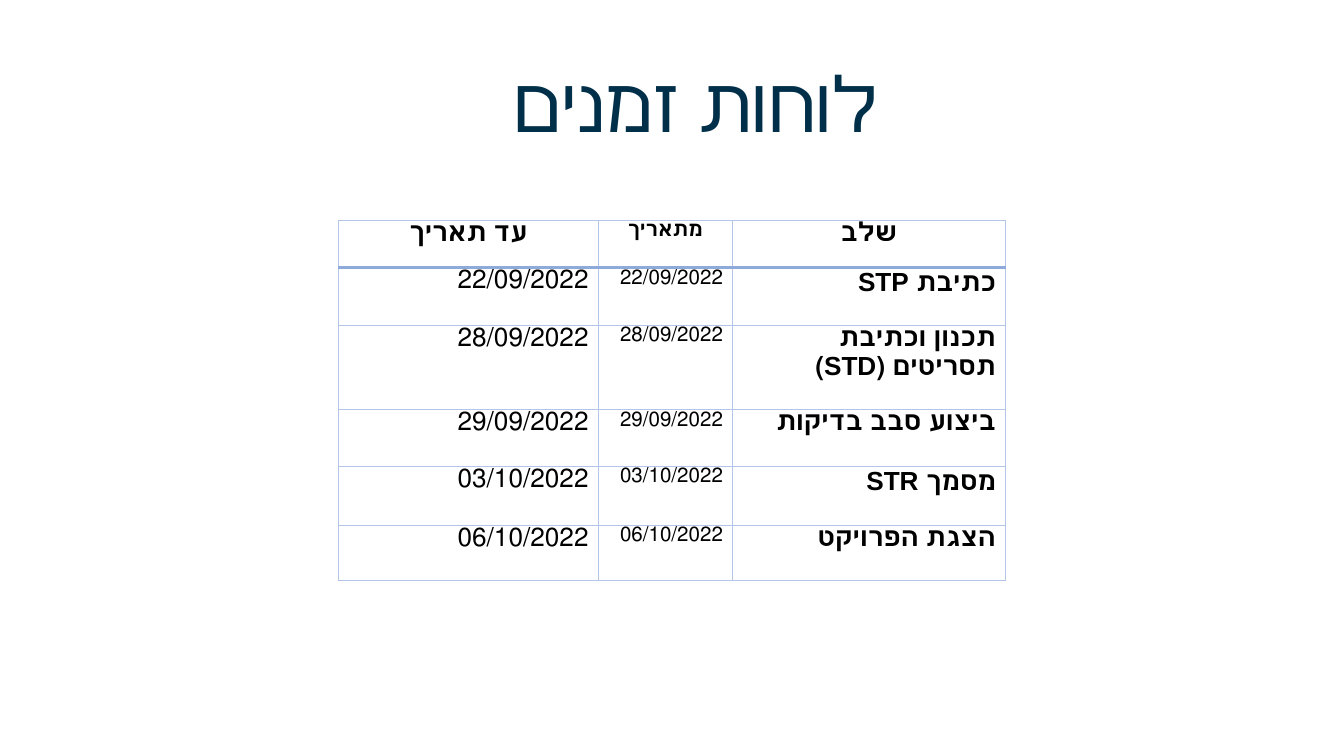
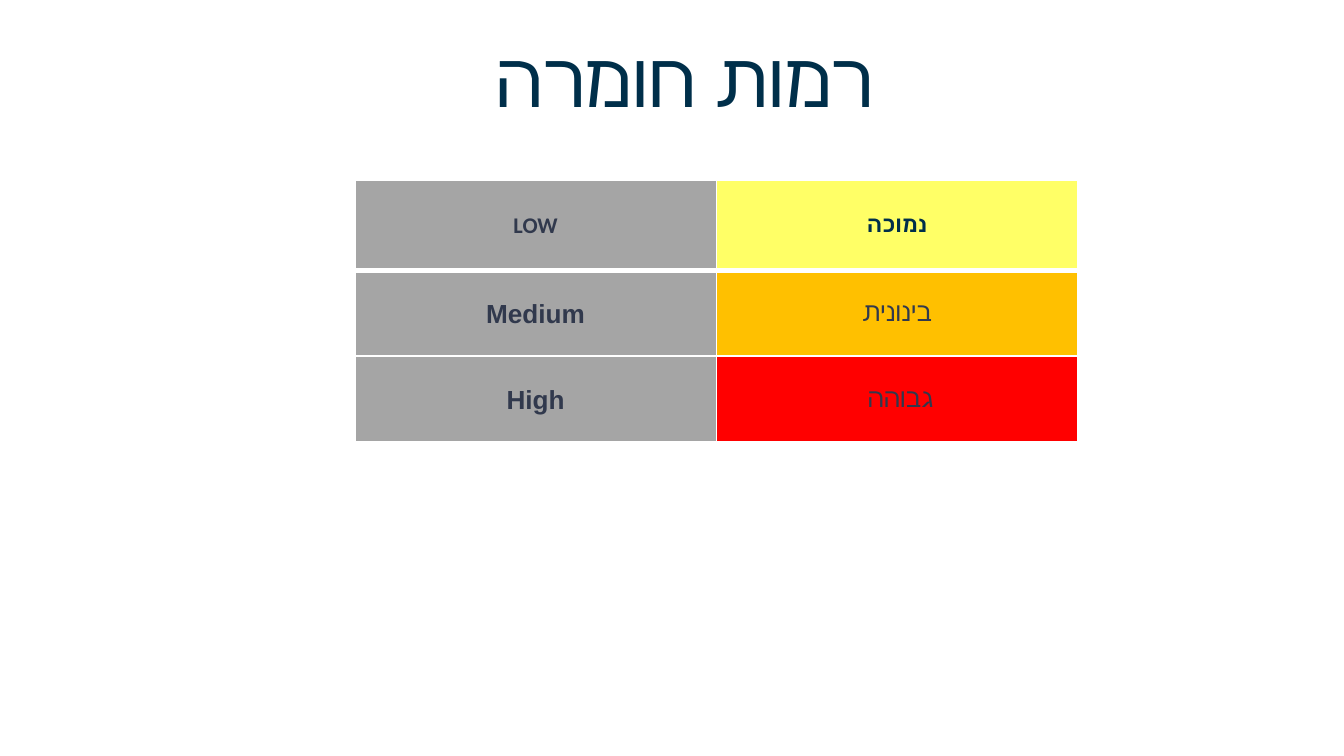
"""Builds two Hebrew slides: a project timetable and a table of severity levels."""
from dataclasses import dataclass

from lxml.etree import SubElement
from pptx import Presentation
from pptx.dml.color import RGBColor
from pptx.enum.text import MSO_ANCHOR as Anchor, MSO_AUTO_SIZE as AutoSize, PP_ALIGN as Align
from pptx.oxml.ns import qn
from pptx.util import Inches, Pt


@dataclass(frozen=True)
class Theme:
    navy: str = "002F4A"
    slate: str = "31394D"
    black: str = "000000"
    white: str = "FFFFFF"
    gray: str = "A5A5A5"
    yellow: str = "FFFF66"
    orange: str = "FFC000"
    red: str = "FF0000"
    grid: str = "B4C6E7"
    rule: str = "8EAADB"
    title_font: str = "Lato"
    body_font: str = "Arial"
    label_font: str = "Calibri"
    title_size: float = 41
    body_size: float = 14
    label_size: float = 12
    date_size: float = 11


THEME = Theme()
PAGE_WIDTH = Inches(10)
PAGE_HEIGHT = PAGE_WIDTH * 9 // 16

STAGES = [
    ("כתיבת STP ", "22/09/2022"),
    ("תכנון וכתיבת תסריטים (STD)", "28/09/2022"),
    ("ביצוע סבב בדיקות", "29/09/2022"),
    ("מסמך STR", "03/10/2022"),
    ("הצגת הפרויקט", "06/10/2022"),
]
STAGE_HEADINGS = ("עד תאריך", "מתאריך", "שלב")
STAGE_SIZES = (THEME.body_size, THEME.date_size, THEME.body_size)

SEVERITIES = [
    {"english": "LOW", "hebrew": "נמוכה", "fill": THEME.yellow},
    {"english": "Medium", "hebrew": "בינונית", "fill": THEME.orange},
    {"english": "High", "hebrew": "גבוהה ", "fill": THEME.red},
]

TIMETABLE = {
    "place": (2.52, 1.64),
    "columns": (1.93, 1, 2.03),
    "rows": (0.35, 0.43, 0.63, 0.42, 0.44, 0.41),
    "inset": 0.07,
    "anchor": Anchor.TOP,
    "spacing": 1.0,
    "line": (THEME.grid, 0.5),
    "header_line": (THEME.rule, 1.5),
}
SEVERITY_TABLE = {
    "place": (2.64, 1.34),
    "columns": (2.69, 2.69),
    "rows": (0.67, 0.64, 0.64),
    "inset": 0.06,
    "anchor": Anchor.MIDDLE,
    "spacing": 1.07,
    "line": (THEME.white, 1),
    "header_line": (THEME.white, 3),
}


def timetable_cells():
    """Return the heading row and one row of dates per stage."""
    heading = [
        {"text": text, "size": size, "bold": True, "align": Align.CENTER}
        for text, size in zip(STAGE_HEADINGS, STAGE_SIZES)
    ]
    rows = [
        [
            {"text": text, "size": size, "bold": text == stage, "align": Align.RIGHT}
            for text, size in zip((date, date, stage), STAGE_SIZES)
        ]
        for stage, date in STAGES
    ]
    return [heading] + rows


def severity_cells():
    """Return one row per severity, with the first row as the heading."""
    rows = []
    for index, level in enumerate(SEVERITIES):
        first = index == 0
        shared = {
            "size": THEME.label_size if first else THEME.body_size,
            "font": THEME.label_font if first else THEME.body_font,
            "align": Align.CENTER,
        }
        english = {"text": level["english"], "bold": True, "color": THEME.slate,
                   "fill": THEME.gray, "rtl": level["english"] == "High"}
        hebrew = {"text": level["hebrew"], "bold": first, "fill": level["fill"],
                  "color": THEME.navy if first else THEME.slate}
        rows.append([shared | english, shared | hebrew])
    return rows


def apply(target, values):
    """Set each named attribute on the target."""
    for name, value in values.items():
        setattr(target, name, value)


def write(frame, text, size, font, color, bold, align, spacing, rtl):
    """Write one formatted paragraph in a text frame."""
    para = frame.paragraphs[0]
    apply(para, {"alignment": align, "line_spacing": spacing})
    if rtl:
        para._p.get_or_add_pPr().set("rtl", "1")
    span = para.add_run()
    span.text = text
    apply(span.font, {"size": Pt(size), "name": font, "bold": bold})
    span.font.color.rgb = RGBColor.from_string(color)


def add_border(cell, side, color, width):
    """Draw one cell edge."""
    line = SubElement(cell._tc.get_or_add_tcPr(), qn(f"a:ln{side}"), w=str(Pt(width)))
    SubElement(SubElement(line, qn("a:solidFill")), qn("a:srgbClr"), val=color)


def add_page(deck, title, left, top, width):
    """Add a title-only page with its title in place."""
    page = deck.slides.add_slide(deck.slide_layouts[5])
    box = page.shapes.title
    apply(box, {"left": Inches(left), "top": Inches(top),
                "width": Inches(width), "height": Inches(0.85)})
    apply(box.text_frame, {
        "auto_size": AutoSize.NONE, "word_wrap": True, "vertical_anchor": Anchor.MIDDLE,
        "margin_left": Inches(0.07), "margin_right": Inches(0.07),
        "margin_top": Inches(0.04), "margin_bottom": Inches(0.04),
    })
    write(box.text_frame, title, THEME.title_size, THEME.title_font, THEME.navy,
          False, Align.CENTER, 0.9, False)
    return page


def add_grid(page, layout, content):
    """Add a table whose first row is closed by the header line."""
    widths, heights = layout["columns"], layout["rows"]
    bounds = (*layout["place"], sum(widths), sum(heights))
    table = page.shapes.add_table(len(heights), len(widths), *map(Inches, bounds)).table
    apply(table, {"first_row": False, "horz_banding": False})
    for column, width in zip(table.columns, widths):
        column.width = Inches(width)
    for row, height in zip(table.rows, heights):
        row.height = Inches(height)
    for row_index, row in enumerate(content):
        edges = dict.fromkeys("LRTB", layout["line"])
        if row_index < 2:
            edges["B" if row_index == 0 else "T"] = layout["header_line"]
        for column_index, item in enumerate(row):
            cell = table.cell(row_index, column_index)
            apply(cell, {
                "margin_left": Inches(layout["inset"]), "margin_right": Inches(layout["inset"]),
                "margin_top": 0, "margin_bottom": 0, "vertical_anchor": layout["anchor"],
            })
            for side, line in edges.items():
                add_border(cell, side, *line)
            if "fill" in item:
                cell.fill.solid()
                cell.fill.fore_color.rgb = RGBColor.from_string(item["fill"])
            else:
                cell.fill.background()
            write(cell.text_frame, item["text"], item["size"],
                  item.get("font", THEME.body_font), item.get("color", THEME.black),
                  item["bold"], item["align"], layout["spacing"], item.get("rtl", True))


def main():
    """Build and save the deck."""
    deck = Presentation()
    apply(deck, {"slide_width": PAGE_WIDTH, "slide_height": PAGE_HEIGHT})
    add_grid(add_page(deck, "לוחות זמנים", 3.31, 0.38, 3.74), TIMETABLE, timetable_cells())
    add_grid(add_page(deck, "רמות חומרה", 3.53, 0.19, 3.13), SEVERITY_TABLE, severity_cells())
    deck.save("out.pptx")


if __name__ == "__main__":
    main()
